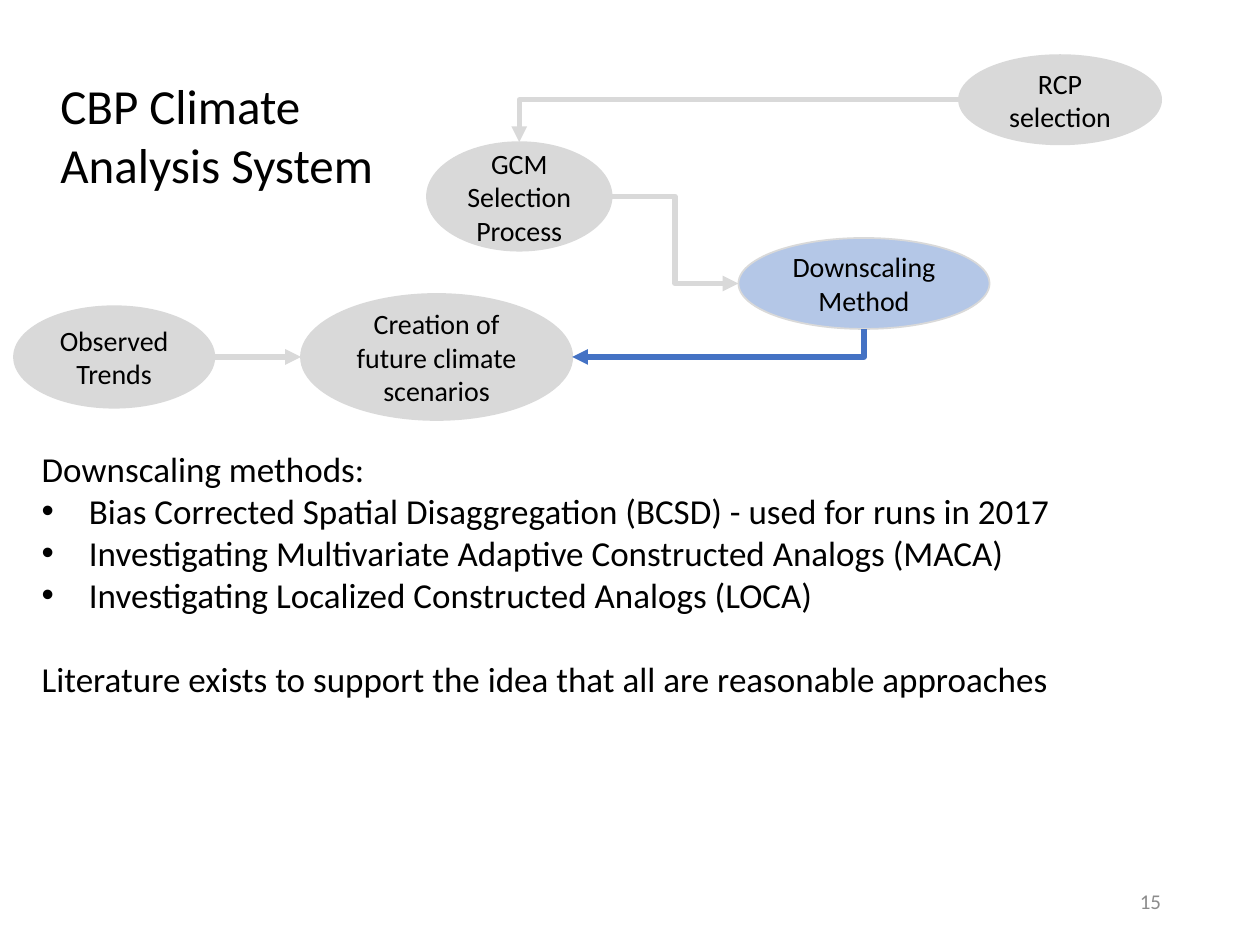
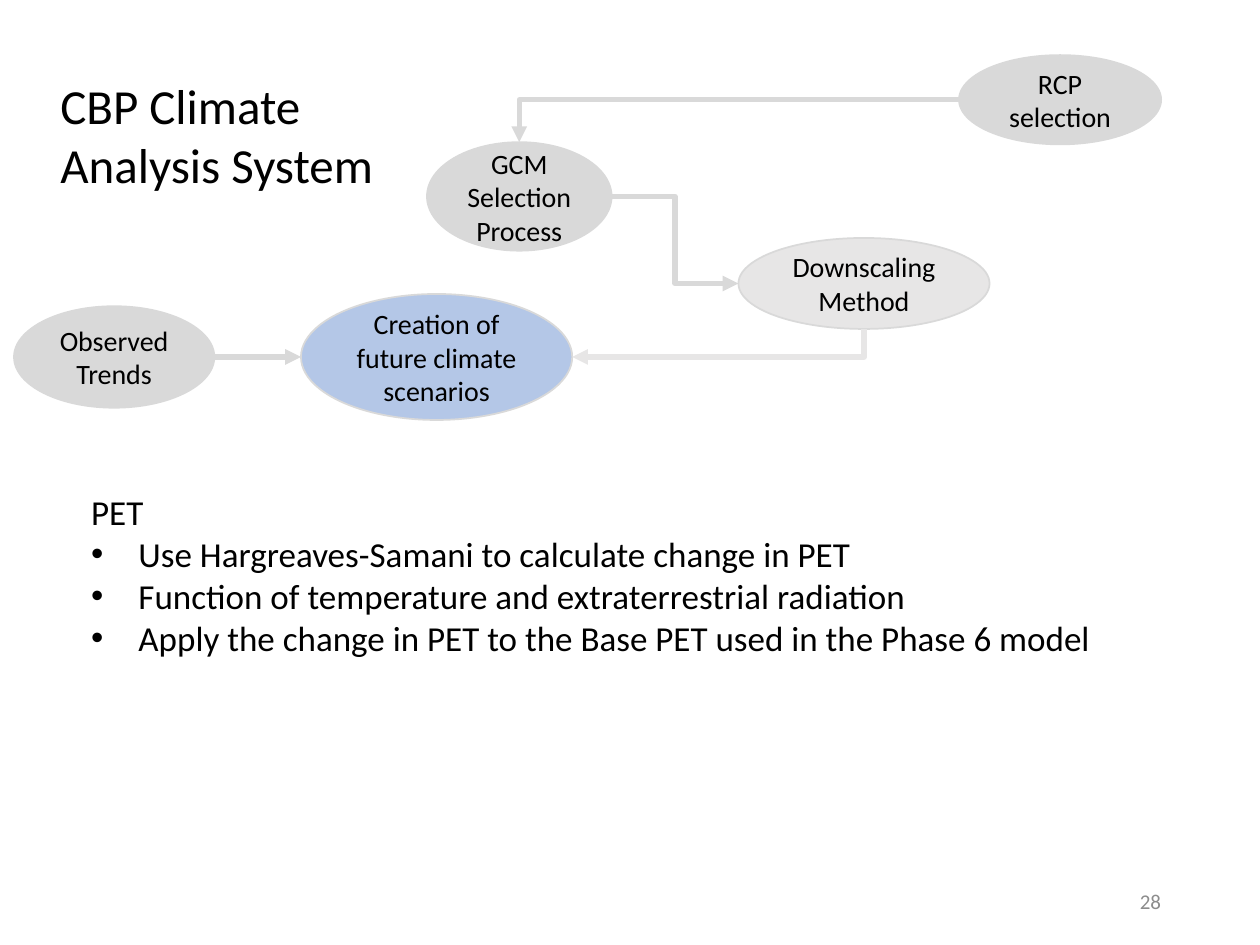
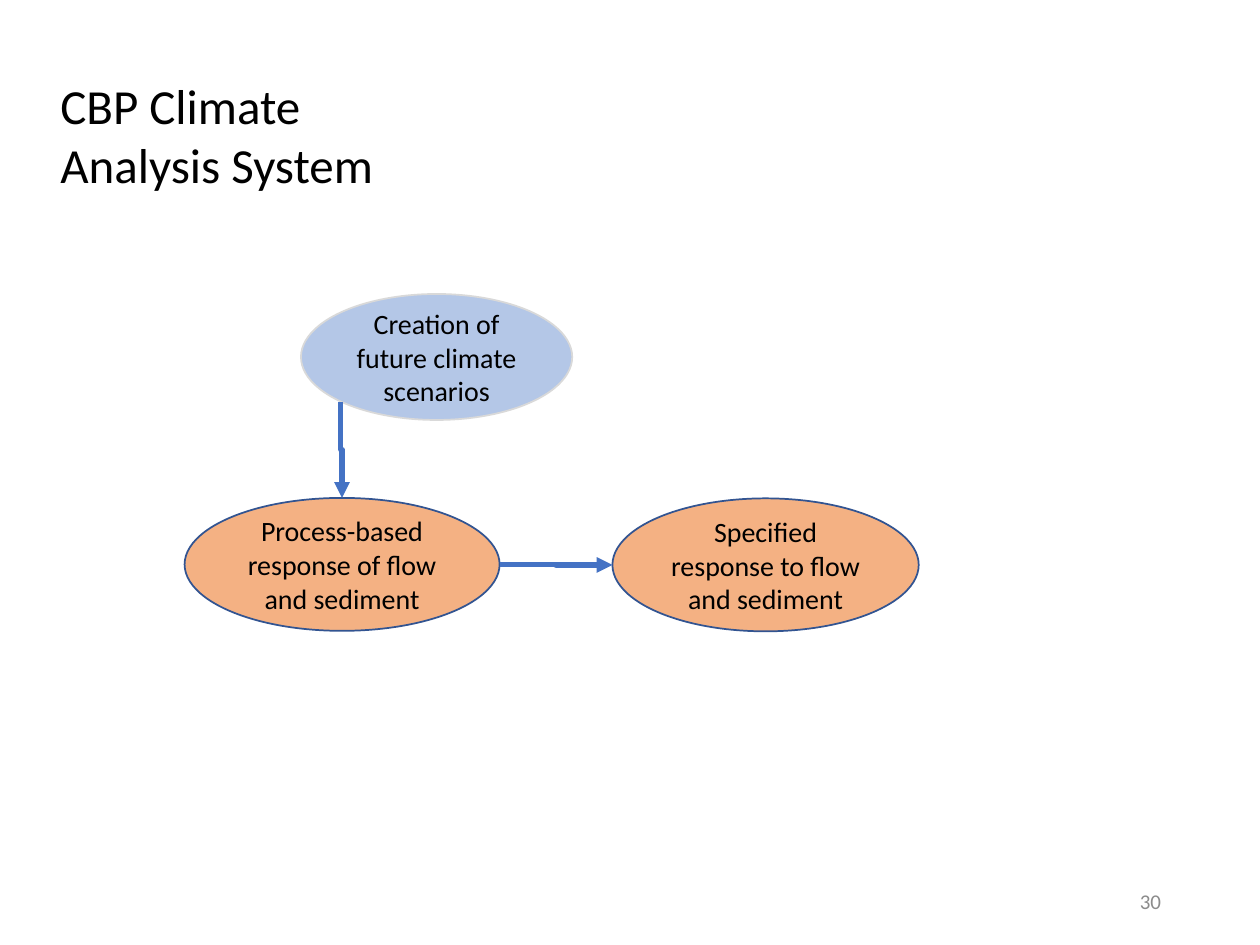
from pptx import Presentation
from pptx import util as u
from pptx.dml import color
from pptx.enum import shapes, text
from pptx.oxml import ns, xmlchemy
from lxml import etree
import math

Pt = u.Pt
COLORS = {"text": "000000", "muted": "8C8C8C", "grey": "D9D9D9", "pale": "E7E6E6",
          "active": "B4C7E7", "arrow": "4472C4", "response": "F4B183", "outline": "325491"}
FONT = "Calibri"
INDENT = 27

# Ellipses of the analysis system: label and left, top, width, height
NODES = {
    "gcm": ("GCM Selection Process", (244, 81.25, 105.5, 62)),
    "rcp": ("RCP selection", (548, 31.5, 115.5, 51)),
    "downscaling": ("Downscaling Method", (422, 136, 143.5, 52)),
    "observed": ("Observed Trends", (8, 175, 114.5, 58)),
    "scenarios": ("Creation of future climate scenarios", (172, 168, 155, 72)),
    "process": ("Process-based response of flow and sediment", (105.5, 284.5, 180, 76)),
    "specified": ("Specified response to flow and sediment", (350, 284.8, 175, 76)),
}
# Connection sites as angles, clockwise from the right
SITES = {"right": 0, "bottom": 90, "bottom left": 135, "left": 180, "top": 270}


def rgb(name):
    return color.RGBColor.from_string(COLORS[name])


def sub(parent, tag, **attrs):
    return etree.SubElement(parent, ns.qn(tag), attrs)


def write(tf, lines, size=16, ink="text", align=None, anchor=None):
    """Fill a text frame; a line is a string or (string, options)."""
    tf.word_wrap = True
    if anchor is not None:
        tf.vertical_anchor = anchor
    for i, line in enumerate(lines):
        content, opts = (line, {}) if isinstance(line, str) else line
        p = tf.paragraphs[0] if i == 0 else tf.add_paragraph()
        if opts.get("bullet"):
            pPr = p._p.get_or_add_pPr()
            pPr.set("marL", str(Pt(INDENT)))
            pPr.set("indent", str(-Pt(INDENT)))
            sub(pPr, "a:buFont", typeface="Arial")
            sub(pPr, "a:buChar", char="•")
        if "before" in opts:
            p.space_before = Pt(opts["before"])
        if align is not None:
            p.alignment = align
        r = p.add_run()
        r.text = content
        r.font.size, r.font.name = Pt(size), FONT
        r.font.color.rgb = rgb(ink)


def site(node, side):
    x, y, w, h = NODES[node][1]
    angle = math.radians(SITES[side])
    return x + w / 2 * (1 + math.cos(angle)), y + h / 2 * (1 + math.sin(angle))


class Deck:
    def __init__(self):
        self.prs = Presentation()
        self.prs.slide_width, self.prs.slide_height = Pt(720), Pt(540)
        self.s = None

    def slide(self, number):
        self.s = self.prs.slides.add_slide(self.prs.slide_layouts[6])
        self.text((27.5, 39.5, 200, 75), ["CBP Climate Analysis System"], size=28)
        self.text((508.5, 500.5, 162, 28.75), [str(number)], grow=False, size=12, ink="muted",
                  align=text.PP_ALIGN.RIGHT, anchor=text.MSO_ANCHOR.MIDDLE)

    def text(self, box, lines, grow=True, **fmt):
        tf = self.s.shapes.add_textbox(*map(Pt, box)).text_frame
        write(tf, lines, **fmt)
        if grow:
            tf.auto_size = text.MSO_AUTO_SIZE.SHAPE_TO_FIT_TEXT

    def node(self, name, fill="grey", line="grey"):
        label, box = NODES[name]
        sp = self.s.shapes.add_shape(shapes.MSO_SHAPE.OVAL, *map(Pt, box))
        sp.shadow.inherit = False
        sp.fill.solid()
        sp.fill.fore_color.rgb = rgb(fill)
        sp.line.color.rgb = rgb(line)
        sp.line.width = Pt(1)
        write(sp.text_frame, [label], align=text.PP_ALIGN.CENTER,
              anchor=text.MSO_ANCHOR.MIDDLE)

    def arrow(self, start, end, ink="grey", corner=False):
        """Elbow arrow between two (node, side) sites; corner gives one bend."""
        (x1, y1), (x2, y2) = site(*start), site(*end)
        downward = start[1].startswith("bottom")
        if downward:  # lay the line out sideways, then turn it a quarter
            cx, cy, dx, dy = (x1 + x2) / 2, (y1 + y2) / 2, (x2 - x1) / 2, (y2 - y1) / 2
            x1, y1, x2, y2 = cx - dy, cy + dx, cx + dy, cy - dx
        cxn = self.s.shapes.add_connector(shapes.MSO_CONNECTOR.ELBOW,
                                          *map(Pt, (x1, y1, x2, y2)))
        spPr = cxn._element.spPr
        if downward:
            spPr.find(ns.qn("a:xfrm")).set("rot", str(90 * 60000))
        if corner:
            spPr.find(ns.qn("a:prstGeom")).set("prst", "bentConnector2")
        cxn.line.color.rgb = rgb(ink)
        cxn.line.width = Pt(3)
        sub(cxn.line._get_or_add_ln(), "a:tailEnd", type="triangle")
        sub(spPr, "a:effectLst")

    def system(self, active, downscaling_fill, downscaling_arrow):
        """The five-step flow with one step highlighted."""
        fills = {"downscaling": downscaling_fill, active: "active"}
        for name in ("gcm", "rcp", "downscaling", "observed", "scenarios"):
            self.node(name, fills.get(name, "grey"))
        self.arrow(("gcm", "right"), ("downscaling", "left"))
        self.arrow(("rcp", "left"), ("gcm", "top"), corner=True)
        self.arrow(("downscaling", "bottom"), ("scenarios", "right"),
                   downscaling_arrow, corner=True)
        self.arrow(("observed", "right"), ("scenarios", "left"))


def bullets(*lines):
    return [(line, {"bullet": True}) for line in lines]


def main():
    deck = Deck()

    # Downscaling methods
    deck.slide(15)
    deck.system("downscaling", "active", "arrow")
    deck.text((16.75, 252, 664, 177), [
        "Downscaling methods:",
        *bullets("Bias Corrected Spatial Disaggregation (BCSD) - used for runs in 2017",
                 "Investigating Multivariate Adaptive Constructed Analogs (MACA)",
                 "Investigating Localized Constructed Analogs (LOCA)"),
        ("Literature exists to support the idea that all are reasonable approaches",
         {"before": 24}),
    ], size=20)

    # Future climate scenarios
    deck.slide(28)
    deck.system("scenarios", "pale", "pale")
    deck.text((45, 276.5, 600, 128), [
        "PET",
        *bullets("Use Hargreaves-Samani to calculate change in PET",
                 "Function of temperature and extraterrestrial radiation",
                 "Apply the change in PET to the Base PET used in the Phase 6 model"),
    ], size=20)

    # Flow and sediment response
    deck.slide(30)
    for name in ("process", "specified"):
        deck.node(name, "response", "outline")
    deck.node("scenarios", "active")
    deck.arrow(("process", "right"), ("specified", "left"), "arrow")
    deck.arrow(("scenarios", "bottom left"), ("process", "top"), "arrow")

    deck.prs.save("out.pptx")


if __name__ == "__main__":
    main()
